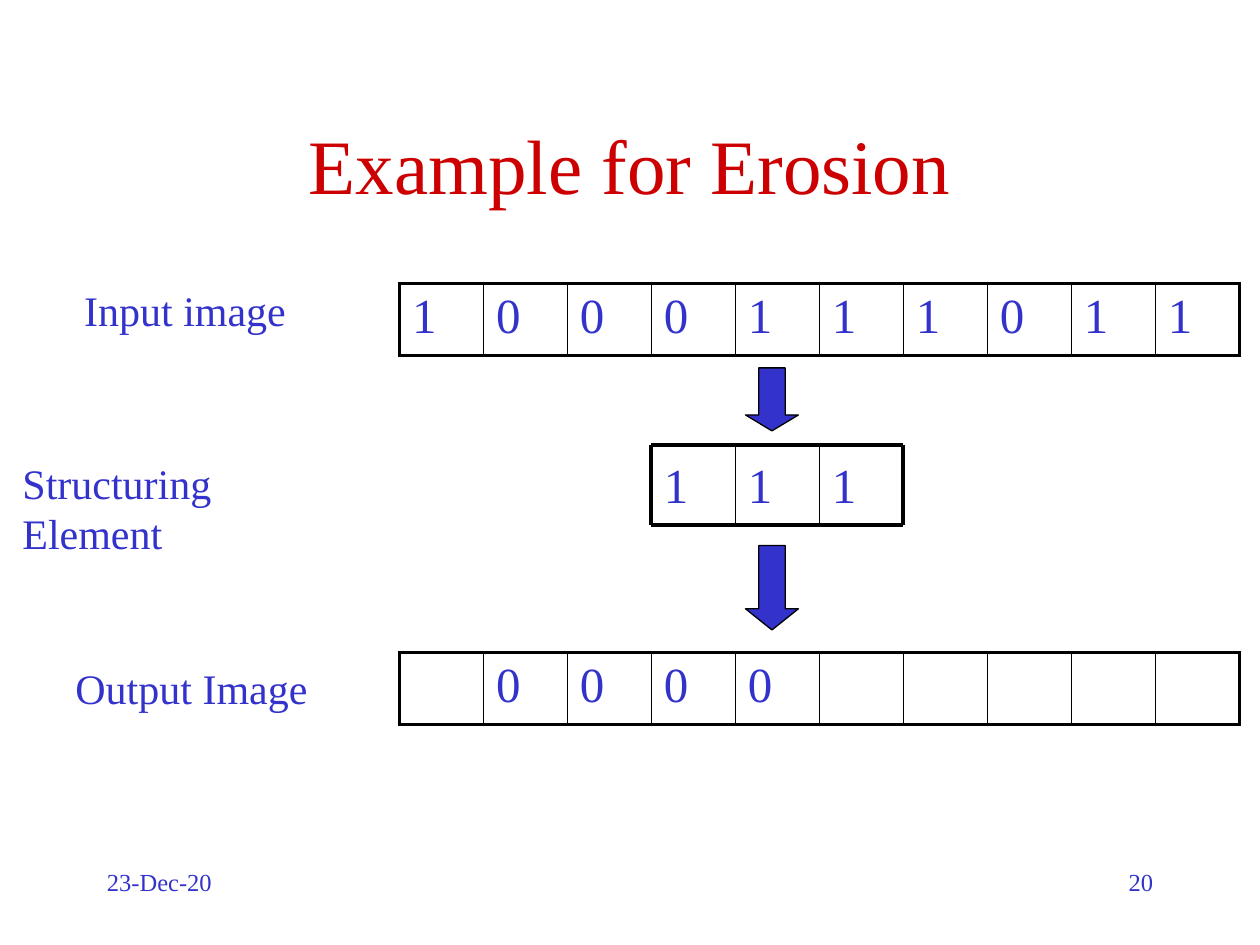
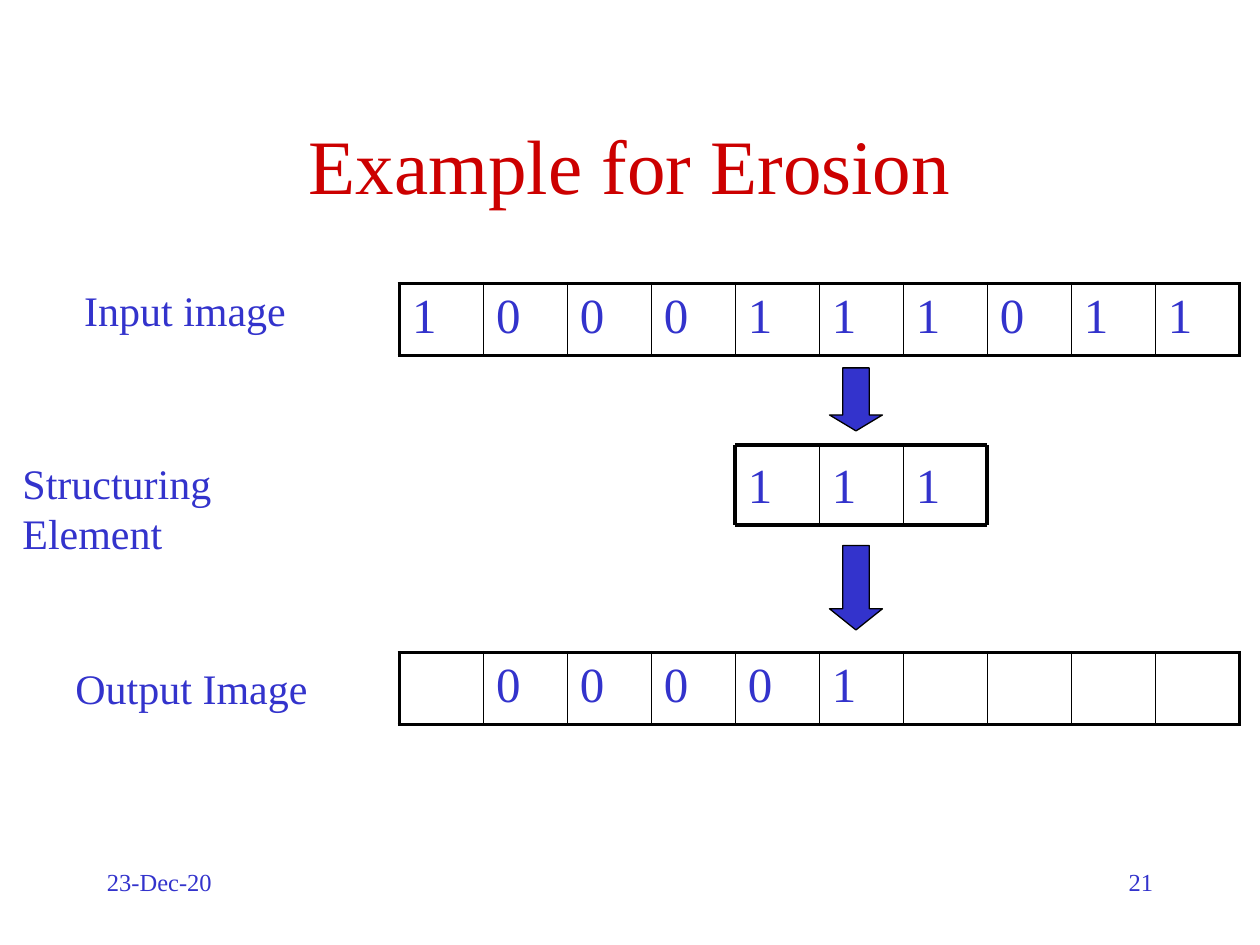
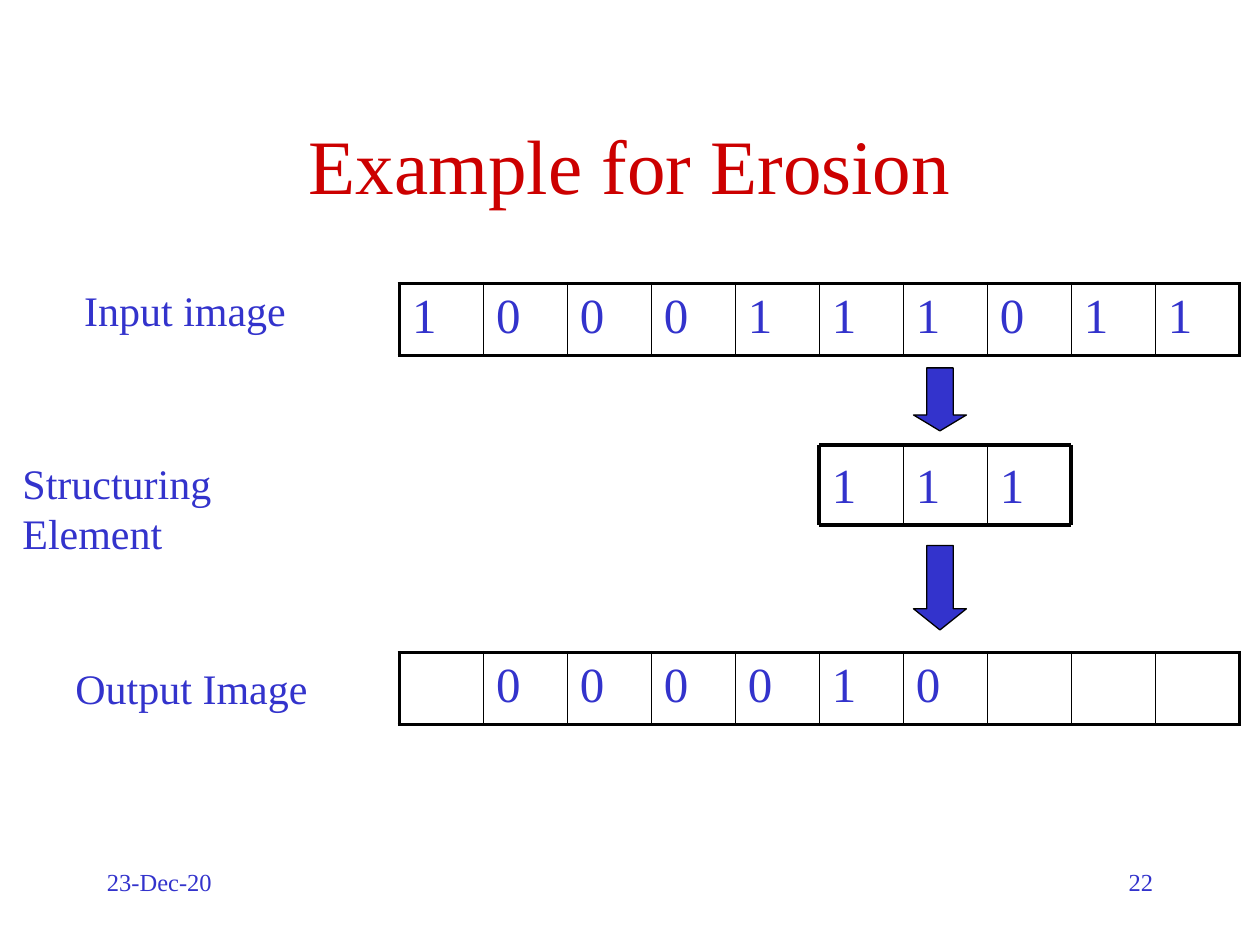
"""Build three slides that step a structuring element along a row of bits."""
from lxml import etree
from pptx import Presentation
from pptx.dml.color import RGBColor
from pptx.enum.shapes import MSO_CONNECTOR, MSO_SHAPE
from pptx.enum.text import MSO_ANCHOR, PP_ALIGN
from pptx.oxml.ns import qn
from pptx.util import Inches, Pt

TITLE = "Example for Erosion"
DATE = "23-Dec-20"
BITS = [1, 0, 0, 0, 1, 1, 1, 0, 1, 1]
MASK = [1, 1, 1]
STEPS = [(20, 4), (21, 5), (22, 6)]
LABELS = [
    ("Input image", 0.57, 2.21, 1.8),
    ("Structuring Element", 0.08, 3.58, 2.89),
    ("Output Image", 0.5, 5.21, 2.04),
]
ARROWS = [(4.33, 0.67, 0.4), (2.92, 0.5, 0.3)]

RED = RGBColor(0xCC, 0x00, 0x00)
BLUE = RGBColor(0x33, 0x33, 0xCC)
BLACK = RGBColor(0, 0, 0)
FONT = "Times New Roman"
LEFT, CENTER, RIGHT = PP_ALIGN.LEFT, PP_ALIGN.CENTER, PP_ALIGN.RIGHT
TOP, MIDDLE = MSO_ANCHOR.TOP, MSO_ANCHOR.MIDDLE
STRAIGHT = MSO_CONNECTOR.STRAIGHT
DOWN = MSO_SHAPE.DOWN_ARROW

THICK, THIN = 2.25, 1
GRID = 3.17
CELL = 2 / 3
ROW = 0.57
IN_TOP, OUT_TOP = 2.25, 5.18
MASK_TOP, MASK_END = 3.53, 4.17
ARROW_W = 0.42


def style(frame, size, color=BLUE, align=LEFT):
    para = frame.paragraphs[0]
    para.alignment = align
    for run in para.runs:
        run.font.name = FONT
        run.font.size = Pt(size)
        run.font.color.rgb = color


def add_text(slide, text, box, size, color=BLUE, align=LEFT, anchor=TOP, wrap=True):
    frame = slide.shapes.add_textbox(*map(Inches, box)).text_frame
    frame.word_wrap = wrap
    frame.vertical_anchor = anchor
    frame.text = text
    style(frame, size, color, align)
    return frame


def add_edge(cell, side, width):
    edge = etree.SubElement(cell._tc.get_or_add_tcPr(), qn(f"a:ln{side}"), w=str(Pt(width)))
    fill = etree.SubElement(edge, qn("a:solidFill"))
    etree.SubElement(fill, qn("a:srgbClr"), val=str(BLACK))


def add_row(slide, top, values):
    count = len(values)
    frame = slide.shapes.add_table(
        1, count, Inches(GRID), Inches(top), Inches(CELL * count), Inches(ROW))
    table = frame.table
    table.first_row = table.horz_banding = False
    for col, value in enumerate(values):
        table.columns[col].width = Inches(CELL)
        cell = table.cell(0, col)
        cell.text = str(value)
        style(cell.text_frame, 28)
        add_edge(cell, "L", THICK if col == 0 else THIN)
        add_edge(cell, "R", THICK if col == count - 1 else THIN)
        for side in "TB":
            add_edge(cell, side, THICK)
        cell.fill.background()


def add_line(slide, start, end, width):
    line = slide.shapes.add_connector(STRAIGHT, *map(Inches, start + end))
    line.line.color.rgb = BLACK
    line.line.width = Pt(width)
    etree.SubElement(line._element.spPr, qn("a:effectLst"))


def add_mask(slide, left):
    count = len(MASK)
    right = left + count * CELL
    for col, bit in enumerate(MASK):
        box = left + col * CELL, MASK_TOP, CELL, MASK_END - MASK_TOP
        add_text(slide, str(bit), box, 28).margin_top = Inches(0.08)
    for y in (MASK_TOP, MASK_END):
        add_line(slide, (left, y), (right, y), THICK)
    for col in range(count + 1):
        x = left + col * CELL
        width = THICK if col in (0, count) else THIN
        add_line(slide, (x, MASK_TOP), (x, MASK_END), width)


def add_arrow(slide, left, top, height, head):
    arrow = slide.shapes.add_shape(DOWN, *map(Inches, (left, top, ARROW_W, height)))
    arrow.adjustments[0] = 0.5
    arrow.adjustments[1] = head
    arrow.shadow.inherit = False
    arrow.fill.solid()
    arrow.fill.fore_color.rgb = BLUE
    arrow.line.color.rgb = BLACK
    arrow.line.width = Pt(0.75)


def erode(last):
    return [
        int(all(BITS[col - 1:col + 2])) if 1 <= col <= last else ""
        for col in range(len(BITS))
    ]


def add_step(deck, number, mid):
    slide = deck.slides.add_slide(deck.slide_layouts[6])
    add_text(slide, TITLE, (0.75, 0.67, 8.5, 1.25), 44, RED, CENTER, MIDDLE)
    add_text(slide, DATE, (0.75, 6.83, 2.08, 0.5), 14)
    add_text(slide, str(number), (7.17, 6.83, 2.08, 0.5), 14, align=RIGHT)
    for text, left, top, width in LABELS:
        add_text(slide, text, (left, top, width, 0.5), 24, wrap=False)
    add_row(slide, IN_TOP, BITS)
    add_row(slide, OUT_TOP, erode(mid))
    add_mask(slide, GRID + (mid - 1) * CELL)
    for top, height, head in ARROWS:
        add_arrow(slide, GRID + mid * CELL + 0.08, top, height, head)


def main():
    deck = Presentation()
    deck.slide_width, deck.slide_height = Inches(10), Inches(7.5)
    for number, mid in STEPS:
        add_step(deck, number, mid)
    deck.save("out.pptx")


if __name__ == "__main__":
    main()
